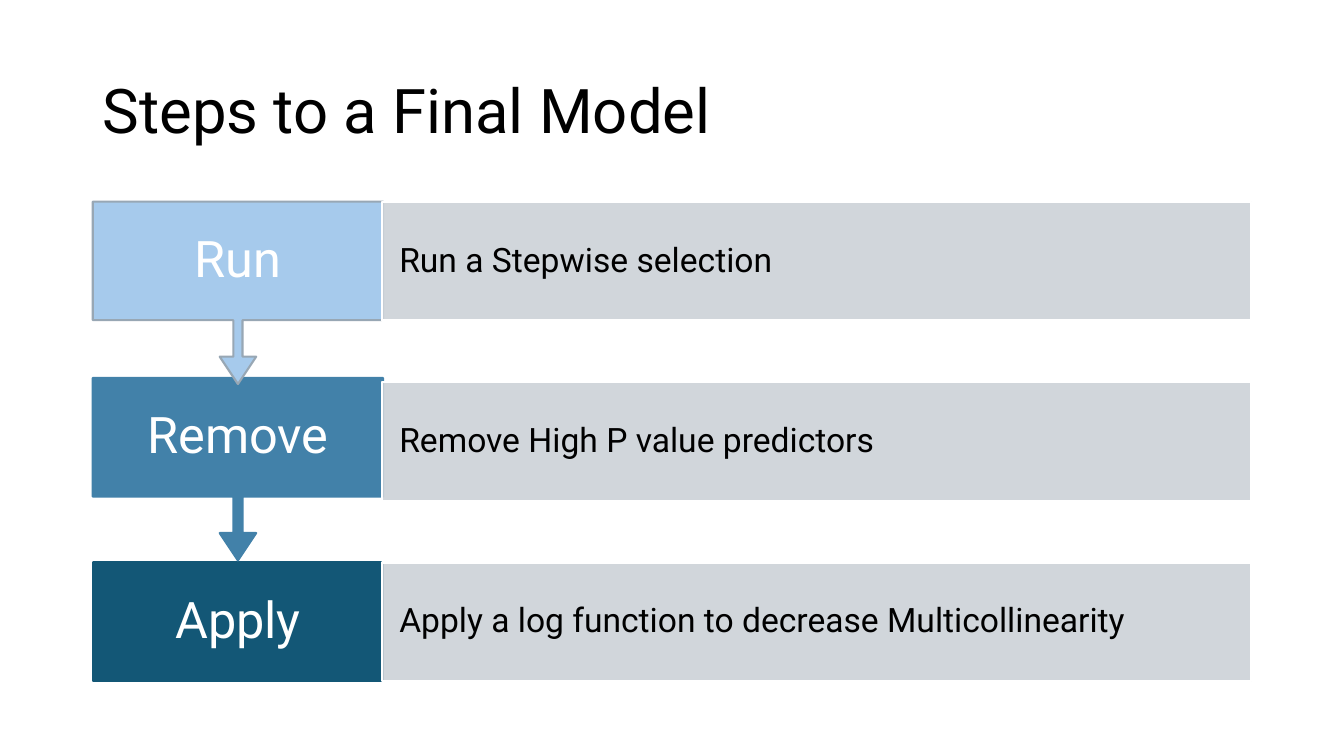
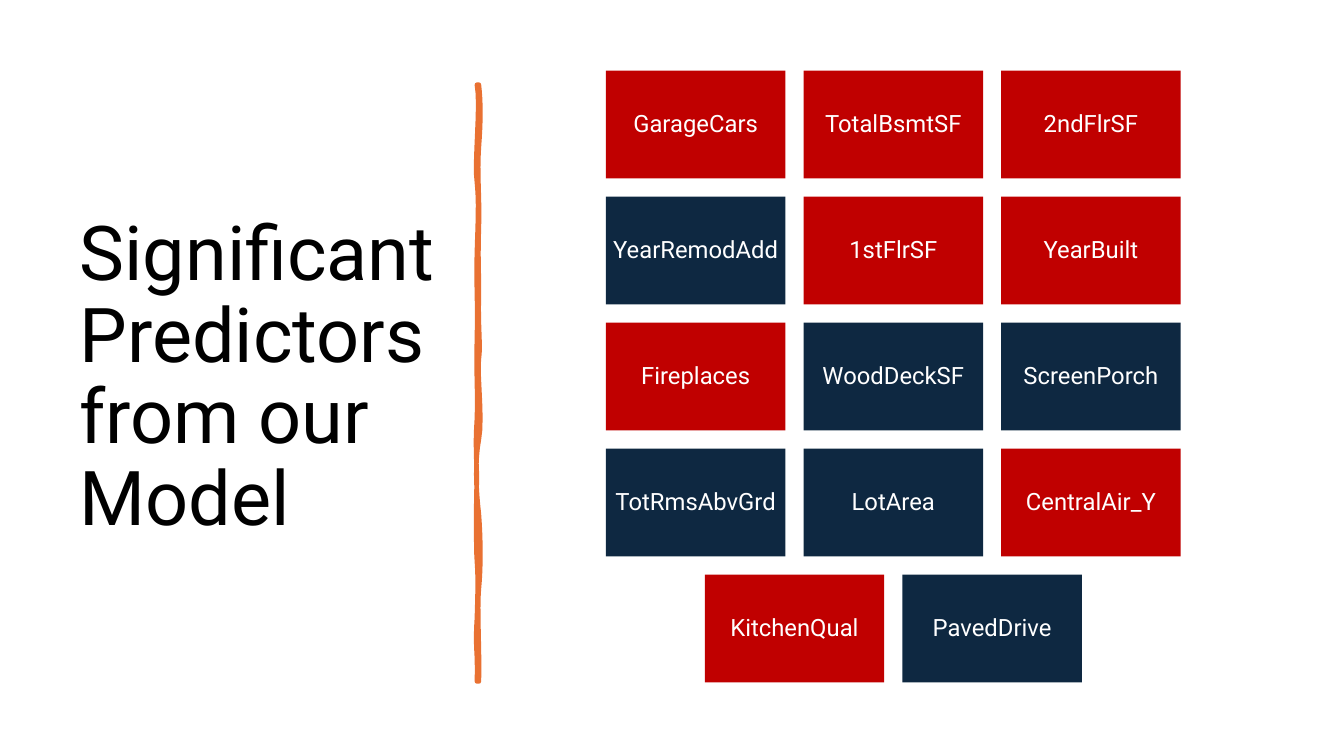
from dataclasses import dataclass

import pptx
import pptx.dml.color
import pptx.enum.shapes
import pptx.enum.text
import pptx.oxml
import pptx.oxml.ns
import pptx.util

Inches = pptx.util.Inches
Pt = pptx.util.Pt
MSO_SHAPE = pptx.enum.shapes.MSO_SHAPE
PP_ALIGN = pptx.enum.text.PP_ALIGN

FONT = "Roboto"
COLORS = {
    "black": "000000",
    "white": "FFFFFF",
    "sky": "A6CAEC",
    "sky_edge": "98A7B4",
    "steel": "4281A9",
    "teal": "135776",
    "gray": "CCD2D8",
    "red": "C00000",
    "navy": "0E2841",
    "orange": "E97132",
}


@dataclass(frozen=True)
class Box:
    left: float
    top: float
    width: float
    height: float


@dataclass(frozen=True)
class TextStyle:
    size: float
    color: str
    align: PP_ALIGN = PP_ALIGN.LEFT
    inset_x: float = 0.1
    inset_y: float = 0.05


@dataclass(frozen=True)
class Step:
    verb: str
    detail: str
    top: float
    fill: str
    line: str
    has_arrow: bool = True


@dataclass(frozen=True)
class Predictor:
    name: str
    fill: str


@dataclass(frozen=True)
class Wave:
    """One curve of a brush edge: two control points and the end height."""
    x1: float
    y1: float
    x2: float
    y2: float
    y_end: float


# Shared helpers
def rgb(name: str) -> pptx.dml.color.RGBColor:
    return pptx.dml.color.RGBColor.from_string(COLORS[name])


def set_text(sp, text: str, style: TextStyle) -> None:
    tf = sp.text_frame
    tf.text = text
    tf.word_wrap = True
    tf.auto_size = pptx.enum.text.MSO_AUTO_SIZE.NONE
    tf.vertical_anchor = pptx.enum.text.MSO_ANCHOR.MIDDLE
    tf.margin_left = tf.margin_right = Inches(style.inset_x)
    tf.margin_top = tf.margin_bottom = Inches(style.inset_y)
    p = tf.paragraphs[0]
    p.alignment = style.align
    p.line_spacing = 0.9
    r = p.runs[0]
    r.font.name = FONT
    r.font.size = Pt(style.size)
    r.font.color.rgb = rgb(style.color)


def paint(sp, fill: str, line: str | None = None, width: float = 1.5) -> None:
    sp.shadow.inherit = False
    sp.fill.solid()
    sp.fill.fore_color.rgb = rgb(fill)
    if line is None:
        sp.line.fill.background()
    else:
        sp.line.color.rgb = rgb(line)
        sp.line.width = Pt(width)


def add_block(s, kind: MSO_SHAPE, box: Box, text: str, style: TextStyle,
              fill: str, line: str | None = None):
    sp = s.shapes.add_shape(kind, Inches(box.left), Inches(box.top),
                            Inches(box.width), Inches(box.height))
    paint(sp, fill, line)
    set_text(sp, text, style)
    return sp


def set_alpha(sp, percent: int) -> None:
    color = sp.fill._xPr.find(".//" + pptx.oxml.ns.qn("a:srgbClr"))
    color.append(pptx.oxml.parse_xml(
        f'<a:alpha {pptx.oxml.ns.nsdecls("a")} val="{percent * 1000}"/>'))


def add_title_slide(prs, title: str, box: Box, size: float):
    s = prs.slides.add_slide(prs.slide_layouts[5])
    sp = s.shapes.title
    sp.left, sp.top = Inches(box.left), Inches(box.top)
    sp.width, sp.height = Inches(box.width), Inches(box.height)
    set_text(sp, title, TextStyle(size, "black"))
    return s


# Slide 1: steps
STEPS = [
    Step("Run", "Run a Stepwise selection", 2.0, "sky", "sky_edge"),
    Step("Remove", "Remove High P value predictors", 3.75, "steel", "steel"),
    Step("Apply", "Apply a log function to decrease Multicollinearity",
         5.58, "teal", "teal", has_arrow=False),
]
STEP_LEFT, VERB_WIDTH, STEP_HEIGHT, CALLOUT_HEIGHT = 0.92, 2.88, 1.18, 1.81
DETAIL_LEFT, DETAIL_WIDTH, DETAIL_TOP, DETAIL_PITCH = 3.79, 8.62, 2.0, 1.79
CALLOUT_ADJUSTMENTS = (0.05, 0.1, 0.15, 0.65)
VERB_STYLE = TextStyle(36, "white", PP_ALIGN.CENTER, 0.2, 0.28)
DETAIL_STYLE = TextStyle(24, "black", PP_ALIGN.LEFT, 0.17, 0.33)


def add_step(s, step: Step, row: int) -> None:
    kind = MSO_SHAPE.DOWN_ARROW_CALLOUT if step.has_arrow else MSO_SHAPE.RECTANGLE
    height = CALLOUT_HEIGHT if step.has_arrow else STEP_HEIGHT
    verb = add_block(s, kind, Box(STEP_LEFT, step.top, VERB_WIDTH, height),
                     step.verb, VERB_STYLE, step.fill, step.line)
    if step.has_arrow:
        for i, value in enumerate(CALLOUT_ADJUSTMENTS):
            verb.adjustments[i] = value
    top = DETAIL_TOP + row * DETAIL_PITCH
    detail = add_block(s, MSO_SHAPE.RECTANGLE,
                       Box(DETAIL_LEFT, top, DETAIL_WIDTH, STEP_HEIGHT),
                       step.detail, DETAIL_STYLE, "gray", "white")
    set_alpha(detail, 90)


def build_steps(prs) -> None:
    s = add_title_slide(prs, "Steps to a Final Model",
                        Box(0.92, 0.4, 11.5, 1.45), 44)
    # Last step first, so each arrow overlaps the box below it
    for row, step in reversed(list(enumerate(STEPS))):
        add_step(s, step, row)


# Slide 2: predictors
PREDICTOR_ROWS = [
    [Predictor("GarageCars", "red"), Predictor("TotalBsmtSF", "red"),
     Predictor("2ndFlrSF", "red")],
    [Predictor("YearRemodAdd", "navy"), Predictor("1stFlrSF", "red"),
     Predictor("YearBuilt", "red")],
    [Predictor("Fireplaces", "red"), Predictor("WoodDeckSF", "navy"),
     Predictor("ScreenPorch", "navy")],
    [Predictor("TotRmsAbvGrd", "navy"), Predictor("LotArea", "navy"),
     Predictor("CentralAir_Y", "red")],
    [Predictor("KitchenQual", "red"), Predictor("PavedDrive", "navy")],
]
TILE_WIDTH, TILE_HEIGHT, TILE_GAP = 1.78, 1.07, 0.18
GRID_CENTER, GRID_TOP = 8.86, 0.7
TILE_STYLE = TextStyle(17, "white", PP_ALIGN.CENTER, 0.05, 0.07)

BRUSH_TOP, BRUSH_RIGHT, BRUSH_LEFT = 0.84, 4.75, 4.73
RIGHT_EDGE = [
    Wave(4.77, 1.02, 4.77, 1.19, 1.46), Wave(4.73, 1.73, 4.76, 1.95, 2.26),
    Wave(4.74, 2.57, 4.75, 2.62, 2.94), Wave(4.74, 3.25, 4.77, 3.42, 3.56),
    Wave(4.73, 3.7, 4.79, 4.14, 4.36), Wave(4.71, 4.57, 4.72, 4.84, 5.1),
    Wave(4.77, 5.36, 4.77, 5.64, 5.84), Wave(4.73, 6.03, 4.76, 6.5, 6.76),
]
LEFT_EDGE = [
    Wave(4.74, 6.46, 4.71, 6.44, 6.13), Wave(4.74, 5.83, 4.74, 5.7, 5.57),
    Wave(4.72, 5.44, 4.72, 4.95, 4.77), Wave(4.73, 4.59, 4.71, 4.45, 4.15),
    Wave(4.74, 3.86, 4.72, 3.73, 3.35), Wave(4.74, 2.98, 4.72, 2.81, 2.5),
    Wave(4.74, 2.18, 4.75, 2.0, 1.81), Wave(4.7, 1.63, 4.77, 1.04, 0.84),
]


def edge_points(x: float, y: float, waves: list[Wave],
                samples: int = 8) -> list[tuple[int, int]]:
    """Sample the curves of an edge whose joints all lie at x."""
    points = [(Inches(x), Inches(y))]
    for w in waves:
        for i in range(1, samples + 1):
            t = i / samples
            a, b, c, d = (1 - t) ** 3, 3 * t * (1 - t) ** 2, 3 * t * t * (1 - t), t ** 3
            points.append((Inches((a + d) * x + b * w.x1 + c * w.x2),
                           Inches(a * y + b * w.y1 + c * w.y2 + d * w.y_end)))
        y = w.y_end
    return points


def add_brush_line(s) -> None:
    right = edge_points(BRUSH_RIGHT, BRUSH_TOP, RIGHT_EDGE)
    left = edge_points(BRUSH_LEFT, RIGHT_EDGE[-1].y_end, LEFT_EDGE)
    builder = s.shapes.build_freeform(*right[0])
    builder.add_line_segments(right[1:] + left, close=True)
    paint(builder.convert_to_shape(), "orange", "orange", 3.25)


def build_predictors(prs) -> None:
    s = add_title_slide(prs, "Significant Predictors from our Model",
                        Box(0.69, 0.7, 3.74, 6.11), 54)
    add_brush_line(s)
    # Tile rows, each centred on the grid
    for row, predictors in enumerate(PREDICTOR_ROWS):
        count = len(predictors)
        left = GRID_CENTER - (count * TILE_WIDTH + (count - 1) * TILE_GAP) / 2
        top = GRID_TOP + row * (TILE_HEIGHT + TILE_GAP)
        for col, predictor in enumerate(predictors):
            box = Box(left + col * (TILE_WIDTH + TILE_GAP), top,
                      TILE_WIDTH, TILE_HEIGHT)
            add_block(s, MSO_SHAPE.RECTANGLE, box, predictor.name,
                      TILE_STYLE, predictor.fill)


def main() -> None:
    prs = pptx.Presentation()
    prs.slide_width, prs.slide_height = Inches(13.33), Inches(7.5)
    build_steps(prs)
    build_predictors(prs)
    prs.save("out.pptx")


if __name__ == "__main__":
    main()
